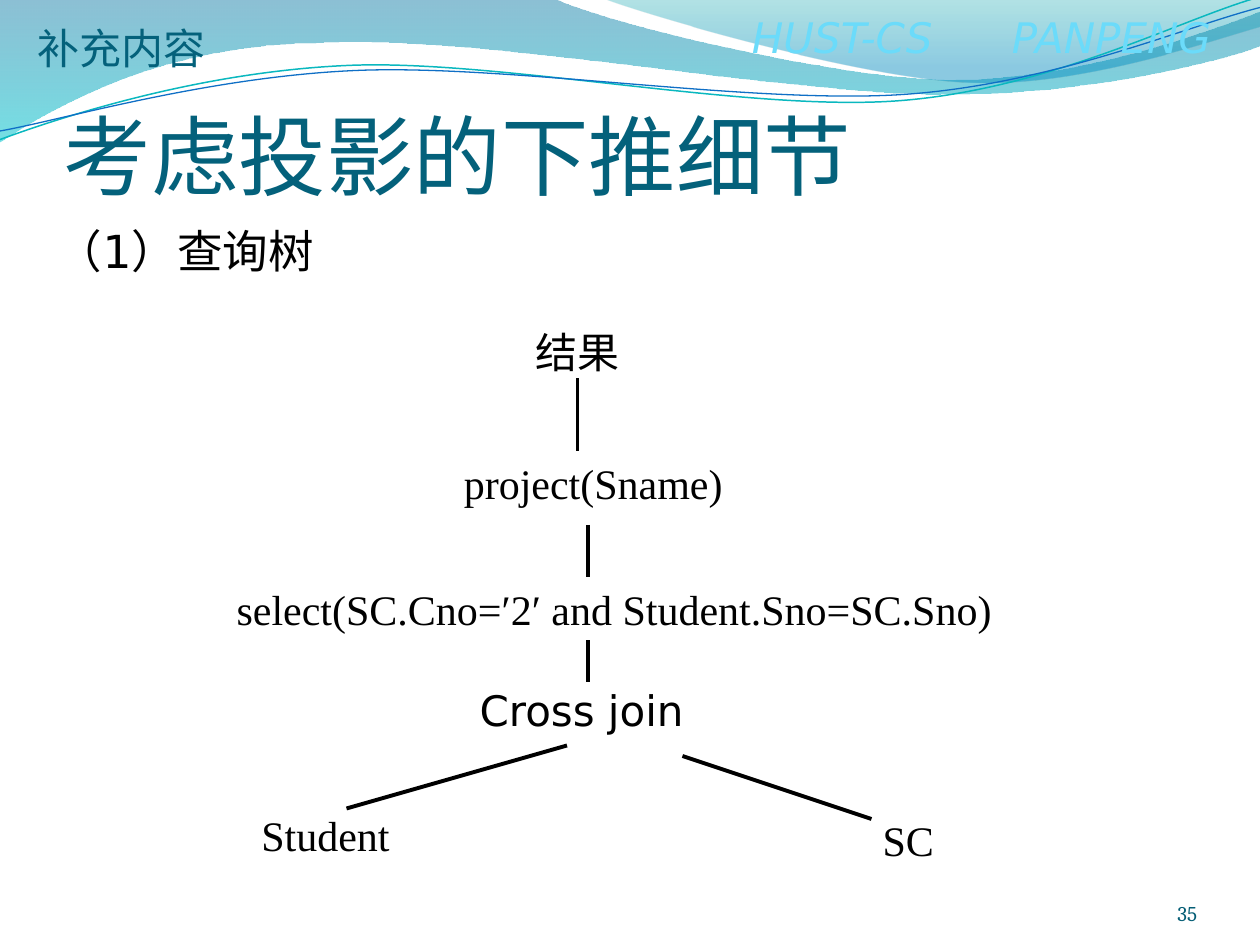
from dataclasses import dataclass

import lxml.etree
import pptx
import pptx.dml.color
import pptx.enum.shapes
import pptx.enum.text
import pptx.oxml.ns
import pptx.util

Pt = pptx.util.Pt
qn = pptx.oxml.ns.qn
ALIGN = pptx.enum.text.PP_ALIGN
ANCHOR = pptx.enum.text.MSO_ANCHOR


@dataclass(frozen=True)
class Theme:
    ink: str = "000000"
    title: str = "04617B"
    number: str = "045D75"
    author: str = "6BDBFA"
    teal_line: str = "0AB8BF"
    blue_line: str = "0F6FC6"
    wide_wave: tuple = ((0, "0074A1", 45), (1, "00C6CF", 55))
    short_wave: tuple = ((0, "00A1A9", 30), (0.8, "008BBF", 45))
    title_size: float = 50
    body_size: float = 26
    label_size: float = 24
    number_size: float = 12
    sans: str = "DejaVu Sans"
    serif: str = "Times New Roman"
    title_font: str = "Calibri"
    number_font: str = "Cambria"
    cjk: str = "Noto Sans CJK SC"


THEME = Theme()

WIDE_WAVE = [
    (0, -0.7), (316.8, -0.7),
    (342.7, 12.2, 478.1, 45.4, 545.8, 45.4),
    (614.2, 45.4, 689.8, 18.7, 720, 6.5),
    (720.7, 25.9),
    (707.8, 31.7, 626.4, 54.7, 537.1, 54),
    (447.8, 54, 275, 20.2, 185, 24.5),
    (92.9, 25.2, 33.1, 59.8, -0.7, 81.4),
]
SHORT_WAVE = [
    (344.9, -0.7),
    (366.5, 7.9, 491, 44.6, 553.7, 46.8),
    (616.3, 49.7, 691.9, 23, 720, 15.1),
    (720, 0),
]
TEAL_CURVE = [
    (-0.7, 80),
    (34.6, 67, 113.8, 41, 199.4, 37.4),
    (284.4, 33.8, 427, 64.1, 513.4, 57.6),
    (599.8, 51.1, 675.4, 10.8, 718.6, -1.4),
]
BLUE_CURVE = [
    (-0.7, 75),
    (33.8, 69.1, 118.1, 43.9, 203.8, 40.3),
    (290.2, 36.7, 429.8, 59.8, 516.2, 54),
    (601.9, 48.2, 677.5, 15.1, 720, 4.3),
]


def rgb(value):
    return pptx.dml.color.RGBColor.from_string(value)


def add_curve(slide, box, path, close):
    left, top = box[:2]
    parts = [[(Pt(left + x), Pt(top + y)) for x, y in zip(part[::2], part[1::2])]
             for part in path]
    builder = slide.shapes.build_freeform(*parts[0][0], scale=1.0)
    builder.add_line_segments([part[-1] for part in parts[1:]], close=close)
    sp = builder.convert_to_shape()
    sp.shadow.inherit = False
    for segment, part in zip(list(sp._element.iter(qn("a:lnTo"))), parts[1:]):
        if len(part) == 3:
            curve = segment.makeelement(qn("a:cubicBezTo"), {})
            for x, y in part:
                lxml.etree.SubElement(curve, qn("a:pt"), x=str(x - sp.left), y=str(y - sp.top))
            segment.getparent().replace(segment, curve)
    return sp


def add_wave(slide, box, path, stops):
    sp = add_curve(slide, box, path, True)
    sp.line.fill.background()
    sp.fill.gradient()
    sp.fill.gradient_angle = 270
    for stop, (position, color, opacity) in zip(sp.fill.gradient_stops, stops):
        stop.position = position
        stop.color.rgb = rgb(color)
    for clr, (_, _, opacity) in zip(sp.fill._xPr.iter(qn("a:srgbClr")), stops):
        lxml.etree.SubElement(clr, qn("a:alpha")).set("val", str(opacity * 1000))


def add_ribbon(slide, box, path, color, width):
    sp = add_curve(slide, box, path, False)
    sp.fill.background()
    sp.line.color.rgb = rgb(color)
    sp.line.width = Pt(width)


def write_text(sp, text, size, font, color, align=ALIGN.LEFT, anchor=ANCHOR.TOP,
               wrap=True, insets=(7.2, 3.6, 7.2, 3.6), italic=False, tab=None):
    tf = sp.text_frame
    tf.word_wrap = wrap
    tf.vertical_anchor = anchor
    tf.margin_left, tf.margin_top, tf.margin_right, tf.margin_bottom = map(Pt, insets)
    p = tf.paragraphs[0]
    p.alignment = align
    if tab:
        tabs = lxml.etree.SubElement(p._p.get_or_add_pPr(), qn("a:tabLst"))
        lxml.etree.SubElement(tabs, qn("a:tab"), pos=str(Pt(tab)), algn="l")
    r = p.add_run()
    r.text = text
    r.font.size = Pt(size)
    r.font.name = font
    r.font.italic = italic
    r.font.color.rgb = rgb(color)
    latin = r._r.get_or_add_rPr().find(qn("a:latin"))
    latin.addnext(latin.makeelement(qn("a:ea"), {"typeface": THEME.cjk}))


def add_text(slide, box, *args, **options):
    write_text(slide.shapes.add_textbox(*map(Pt, box)), *args, **options)


def add_node(slide, box, text):
    sp = slide.shapes.add_shape(pptx.enum.shapes.MSO_SHAPE.RECTANGLE, *map(Pt, box))
    sp.shadow.inherit = False
    sp.fill.background()
    sp.line.fill.background()
    write_text(sp, text, THEME.label_size, THEME.serif, THEME.ink,
               ALIGN.CENTER, ANCHOR.MIDDLE, wrap=False)


def add_edge(slide, start, end):
    line = slide.shapes.add_connector(
        pptx.enum.shapes.MSO_CONNECTOR.STRAIGHT, *map(Pt, (*start, *end)))
    line.line.color.rgb = rgb(THEME.ink)
    line.line.width = Pt(2.25)
    lxml.etree.SubElement(line._element.spPr, qn("a:effectLst"))


def build_banner(slide, box):
    left, top, width, height = box
    add_wave(slide, box, WIDE_WAVE, THEME.wide_wave)
    add_wave(slide, box, SHORT_WAVE, THEME.short_wave)
    add_ribbon(slide, box, TEAL_CURVE, THEME.teal_line, 0.85)
    add_ribbon(slide, box, BLUE_CURVE, THEME.blue_line, 0.75)
    add_text(slide, (left + width - 297.4, top + 3, 291.6, 36), "HUST-CS\tPANPENG",
             THEME.label_size, THEME.sans, THEME.author, italic=True, tab=148.5)
    add_text(slide, (left + 14.4, top + 9.4, 111.6, 36), "补充内容",
             THEME.label_size, THEME.cjk, THEME.title, wrap=False)


def build_heading(slide, box):
    left, top, width, height = box
    add_text(slide, (left + 10.8, top, width, 62.6), "考虑投影的下推细节",
             THEME.title_size, THEME.title_font, THEME.title,
             anchor=ANCHOR.BOTTOM, insets=(0, 3.6, 0, 0))
    add_text(slide, (left, top + 68.4, width, height - 68.4), "（1）查询树",
             THEME.body_size, THEME.sans, THEME.ink)


def build_query_tree(slide, box):
    left, top = box[:2]
    nodes = [
        ("结果", 126, 0, 108, 42),
        ("project(Sname) ", 108, 78, 168, 36),
        ("select(SC.Cno=′2′ and Student.Sno=SC.Sno) ", 102, 144, 204, 48),
        ("Student", 0, 276, 72, 42),
        ("SC", 324, 276, 90, 48),
    ]
    edges = [
        ((180, 36), (180, 78)),
        ((186, 120), (186, 150)),
        ((186, 186), (186, 210)),
        ((174, 246), (48, 282)),
        ((240, 252), (348, 288)),
    ]
    for text, x, y, width, height in nodes:
        add_node(slide, (left + x, top + y, width, height), text)
    add_text(slide, (left + 117, top + 207.4, 150, 36), "Cross join",
             THEME.label_size, THEME.sans, THEME.ink)
    for start, end in edges:
        add_edge(slide, (left + start[0], top + start[1]), (left + end[0], top + end[1]))


def build_page_number(slide, box):
    add_text(slide, box, "35", THEME.number_size, THEME.number_font, THEME.number,
             ALIGN.RIGHT, ANCHOR.BOTTOM, insets=(0, 0, 0, 0))


def main():
    prs = pptx.Presentation()
    prs.slide_width, prs.slide_height = Pt(720), Pt(540)
    slide = prs.slides.add_slide(prs.slide_layouts[6])
    build_banner(slide, (0, 0, 720, 82))
    build_heading(slide, (25.5, 55.7, 648, 106.6))
    build_query_tree(slide, (150, 180, 414, 324))
    build_page_number(slide, (624, 500.4, 60, 28.8))
    prs.save("out.pptx")


if __name__ == "__main__":
    main()
